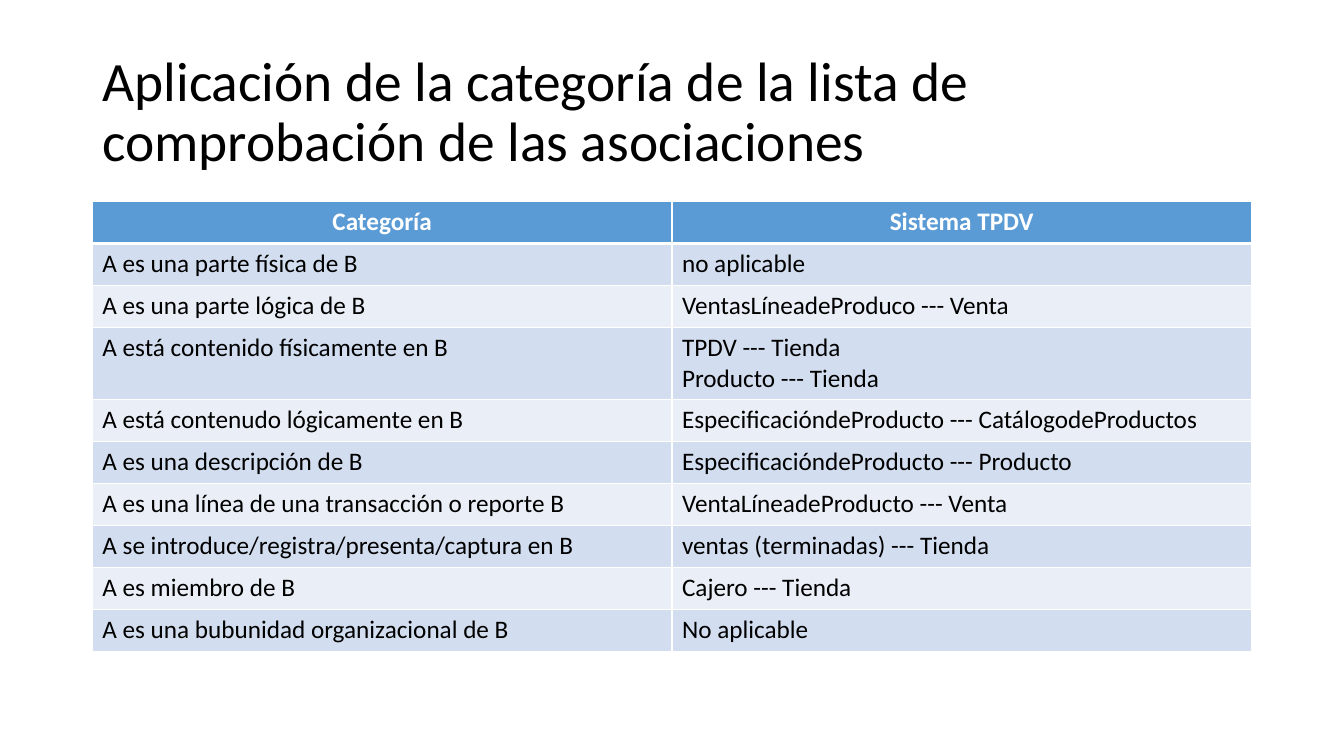
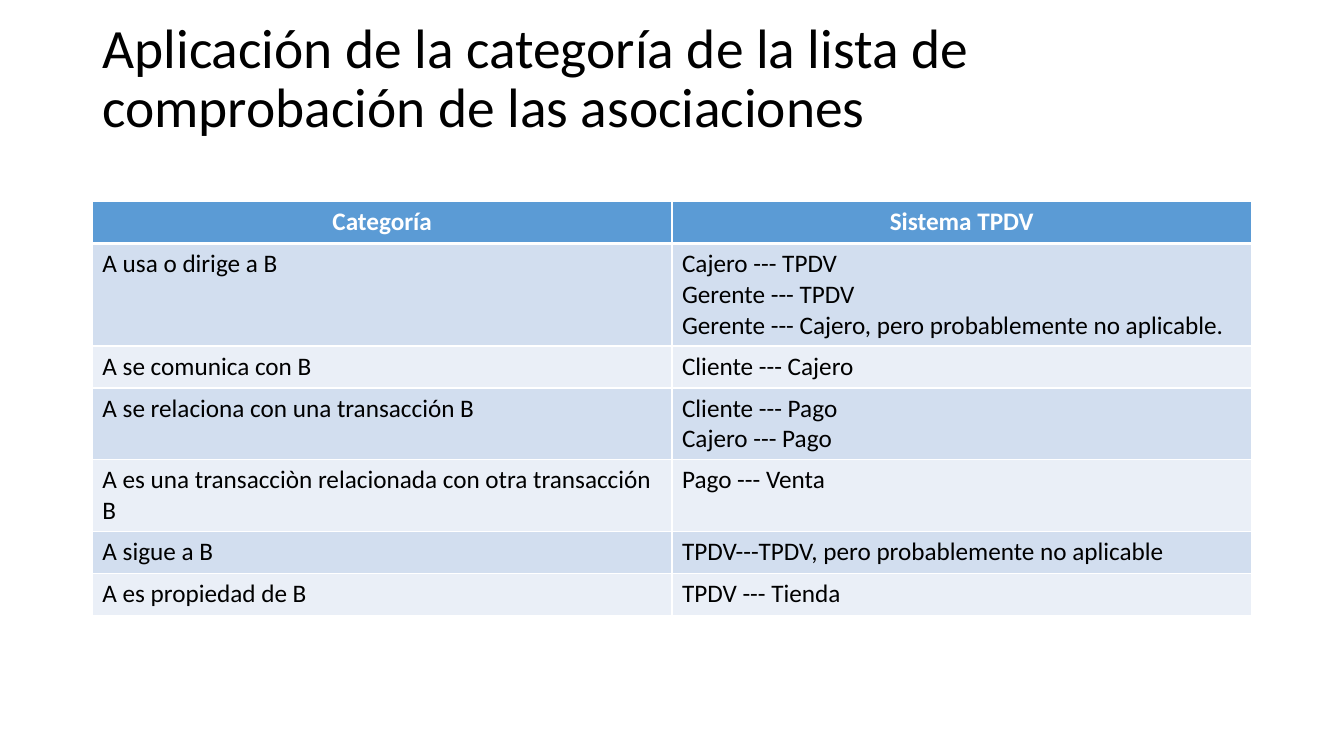
from dataclasses import dataclass

from lxml import etree
from pptx import Presentation
from pptx.dml.color import RGBColor
from pptx.enum.text import MSO_ANCHOR, MSO_AUTO_SIZE, PP_ALIGN
from pptx.oxml.ns import qn
from pptx.util import Pt

LEFT, CENTER = PP_ALIGN.LEFT, PP_ALIGN.CENTER
MIDDLE = MSO_ANCHOR.MIDDLE
NO_FIT = MSO_AUTO_SIZE.NONE
TITLE_ONLY = 5

COLORS = {
    "text": "000000",
    "header_text": "FFFFFF",
    "border": "FFFFFF",
    "header": "5B9BD5",
    "band_dark": "D2DEEF",
    "band_light": "EAEFF7",
}
FONT = "Calibri"
TITLE = "Aplicación de la categoría de la lista de comprobación de las asociaciones"
HEADER = ("Categoría", "Sistema TPDV")
LEFT_EDGE, WIDTH = 66, 828
TITLE_HEIGHT = 104.4
TABLE_TOP, ROW_HEIGHT = 144, 30


@dataclass(frozen=True)
class Association:
    category: str
    examples: tuple[str, ...]


@dataclass(frozen=True)
class ChecklistSlide:
    title_top: float
    rows: tuple[Association, ...]


SLIDES = (
    ChecklistSlide(28.8, (
        Association("A es una parte física de B", ("no aplicable",)),
        Association("A es una parte lógica de B", ("VentasLíneadeProduco --- Venta",)),
        Association("A está contenido físicamente en B",
                    ("TPDV --- Tienda", "Producto --- Tienda")),
        Association("A está contenudo lógicamente en B",
                    ("EspecificacióndeProducto --- CatálogodeProductos",)),
        Association("A es una descripción de B",
                    ("EspecificacióndeProducto --- Producto",)),
        Association("A es una línea de una transacción o reporte B",
                    ("VentaLíneadeProducto --- Venta",)),
        Association("A se introduce/registra/presenta/captura en B",
                    ("ventas (terminadas) --- Tienda",)),
        Association("A es miembro de B", ("Cajero --- Tienda",)),
        Association("A es una bubunidad organizacional de B", ("No aplicable",)),
    )),
    ChecklistSlide(5, (
        Association("A usa o dirige a B",
                    ("Cajero --- TPDV", "Gerente --- TPDV",
                     "Gerente --- Cajero, pero probablemente no aplicable.")),
        Association("A se comunica con B", ("Cliente --- Cajero",)),
        Association("A se relaciona con una transacción B",
                    ("Cliente --- Pago", "Cajero --- Pago")),
        Association("A es una transacciòn relacionada con otra transacción B",
                    ("Pago --- Venta",)),
        Association("A sigue a B", ("TPDV---TPDV, pero probablemente no aplicable",)),
        Association("A es propiedad de B", ("TPDV --- Tienda",)),
    )),
)


def add_run(p, text: str, size: float, color: str, bold: bool = False) -> None:
    r = p.add_run()
    r.text = text
    r.font.name = FONT
    r.font.size = Pt(size)
    r.font.bold = bold
    r.font.color.rgb = RGBColor.from_string(COLORS[color])


def add_title(s, top: float) -> None:
    sp = s.shapes.title
    sp.left, sp.top = Pt(LEFT_EDGE), Pt(top)
    sp.width, sp.height = Pt(WIDTH), Pt(TITLE_HEIGHT)
    tf = sp.text_frame
    tf.word_wrap = True
    tf.auto_size = NO_FIT
    tf.vertical_anchor = MIDDLE
    p = tf.paragraphs[0]
    p.alignment = LEFT
    p.line_spacing = 0.9
    add_run(p, TITLE, 39.6, "text")


def add_borders(cell, bottom: float) -> None:
    tc_pr = cell._tc.get_or_add_tcPr()
    for side, width in (("L", 1), ("R", 1), ("T", 1), ("B", bottom)):
        ln = etree.SubElement(tc_pr, qn(f"a:ln{side}"), w=str(Pt(width)))
        fill = etree.SubElement(ln, qn("a:solidFill"))
        etree.SubElement(fill, qn("a:srgbClr"), val=COLORS["border"])


def fill_cell(cell, lines: tuple[str, ...], fill: str, is_header: bool) -> None:
    add_borders(cell, 3 if is_header else 1)
    cell.fill.solid()
    cell.fill.fore_color.rgb = RGBColor.from_string(COLORS[fill])
    tf = cell.text_frame
    for i, line in enumerate(lines):
        p = tf.add_paragraph() if i else tf.paragraphs[0]
        p.alignment = CENTER if is_header else LEFT
        add_run(p, line, 18, "header_text" if is_header else "text", is_header)


def add_checklist(s, rows: tuple[Association, ...]) -> None:
    cells = [tuple((text,) for text in HEADER)]
    cells += [((row.category,), row.examples) for row in rows]
    table = s.shapes.add_table(
        len(cells), len(HEADER), Pt(LEFT_EDGE), Pt(TABLE_TOP),
        Pt(WIDTH), Pt(ROW_HEIGHT * len(cells))).table
    for i, row in enumerate(cells):
        table.rows[i].height = Pt(ROW_HEIGHT)
        band = "band_dark" if i % 2 else "band_light"
        for j, lines in enumerate(row):
            fill_cell(table.cell(i, j), lines, band if i else "header", i == 0)


def main() -> None:
    prs = Presentation()
    prs.slide_width, prs.slide_height = Pt(960), Pt(540)
    for content in SLIDES:
        s = prs.slides.add_slide(prs.slide_layouts[TITLE_ONLY])
        add_title(s, content.title_top)
        add_checklist(s, content.rows)
    prs.save("out.pptx")


if __name__ == "__main__":
    main()
